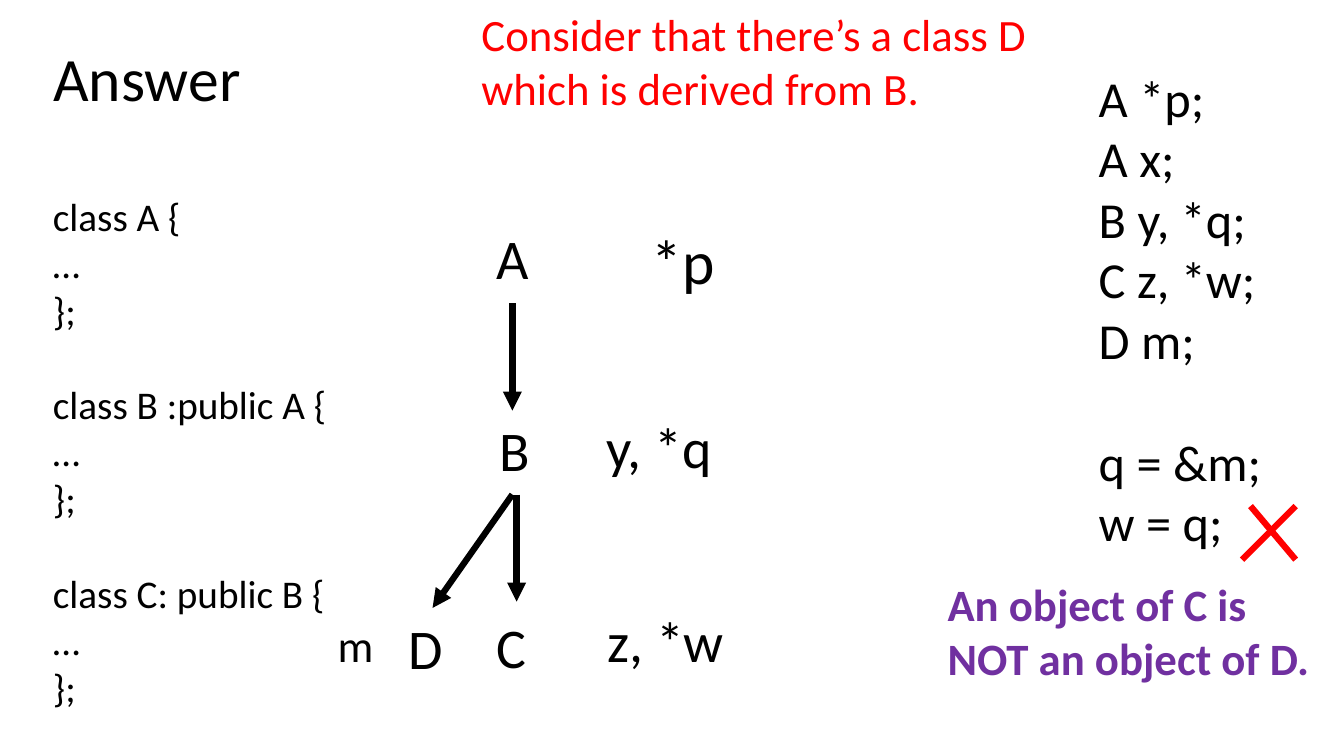
from dataclasses import dataclass

from lxml.etree import SubElement
from pptx import Presentation
from pptx.dml.color import RGBColor
from pptx.enum.shapes import MSO_CONNECTOR
from pptx.enum.text import MSO_ANCHOR, MSO_AUTO_SIZE, PP_ALIGN
from pptx.oxml.ns import qn
from pptx.slide import Slide
from pptx.text.text import Font
from pptx.util import Emu, Pt

EMU_PER_PX = 9525
LINE_HEIGHT = 1.22
FONT_NAME = "Calibri"
BLACK = RGBColor(0x00, 0x00, 0x00)
RED = RGBColor(0xFF, 0x00, 0x00)
PURPLE = RGBColor(0x70, 0x30, 0xA0)


@dataclass(frozen=True)
class Label:
    blocks: tuple[tuple[str, ...], ...]
    left: int
    top: int
    width: int
    height: int
    size: int = 40
    color: RGBColor = BLACK
    bold: bool = False
    wrap: bool = False


@dataclass(frozen=True)
class Line:
    start: tuple[int, int]
    end: tuple[int, int]
    color: RGBColor = BLACK
    arrow: bool = True


CLASS_CODE = tuple(
    (header, "…", "};")
    for header in ("class A {", "class B :public A {", "class C: public B {")
)
VARIABLE_CODE = (
    ("A *p;", "A x;", "B y, *q;", "C z, *w;", "D m;"),
    ("q = &m;", "w = q;"),
)

LABELS = (
    Label(CLASS_CODE, 41, 178, 283, 507, size=28),
    Label(VARIABLE_CODE, 1037, 59, 176, 475, size=36),
    Label((("A",),), 463, 208, 51, 74),
    Label((("B",),), 466, 391, 51, 74),
    Label((("C",),), 463, 579, 48, 74),
    Label((("D",),), 380, 580, 53, 74),
    Label((("*p",),), 611, 208, 80, 81, size=44),
    Label((("y, *q",),), 568, 388, 121, 74),
    Label((("z, *w",),), 569, 573, 132, 74),
    Label((("m",),), 312, 584, 54, 61, size=32),
    Label((("An object of C is NOT an object of D.",),), 893, 545, 387, 113,
          size=32, color=PURPLE, bold=True, wrap=True),
    Label((("Consider that there’s a class D\vwhich is derived from B.",),),
          449, 2, 640, 113, size=32, color=RED, wrap=True),
)

LINES = (
    Line((488, 289), (488, 391)),
    Line((492, 471), (492, 573)),
    Line((488, 471), (412, 579)),
    Line((1183, 533), (1234, 482), RED, arrow=False),
    Line((1191, 482), (1234, 533), RED, arrow=False),
)


def px(length: int) -> Emu:
    return Emu(length * EMU_PER_PX)


def format_font(font: Font, size: int, color: RGBColor, bold: bool = False) -> None:
    font.name = FONT_NAME
    font.size = Pt(size)
    font.bold = bold
    font.color.rgb = color


def set_title(slide: Slide, text: str) -> None:
    title = slide.shapes.title
    title.left, title.top = px(41), px(8)
    title.width, title.height = px(1104), px(139)
    title.text_frame.text = text
    title.text_frame.vertical_anchor = MSO_ANCHOR.MIDDLE
    paragraph = title.text_frame.paragraphs[0]
    paragraph.alignment = PP_ALIGN.LEFT
    paragraph.line_spacing = 0.9
    format_font(paragraph.font, 44, BLACK)


def add_label(slide: Slide, label: Label) -> None:
    shape = slide.shapes.add_textbox(
        px(label.left), px(label.top), px(label.width), px(label.height)
    )
    frame = shape.text_frame
    frame.word_wrap = label.wrap
    frame.auto_size = MSO_AUTO_SIZE.SHAPE_TO_FIT_TEXT
    for block_index, block in enumerate(label.blocks):
        for line_index, text in enumerate(block):
            is_first = block_index == line_index == 0
            paragraph = frame.paragraphs[0] if is_first else frame.add_paragraph()
            paragraph.text = text
            if block_index > 0 and line_index == 0:
                paragraph.space_before = Pt(round(label.size * LINE_HEIGHT))
            format_font(paragraph.font, label.size, label.color, label.bold)


def add_line(slide: Slide, line: Line) -> None:
    connector = slide.shapes.add_connector(
        MSO_CONNECTOR.STRAIGHT, *map(px, line.start + line.end)
    )
    connector.line.color.rgb = line.color
    connector.line.width = Pt(4.5)
    if line.arrow:
        SubElement(connector.line._get_or_add_ln(), qn("a:tailEnd"), type="triangle")
    SubElement(connector._element.spPr, qn("a:effectLst"))


def main() -> None:
    presentation = Presentation()
    presentation.slide_width = px(1280)
    presentation.slide_height = px(720)
    slide = presentation.slides.add_slide(
        presentation.slide_layouts.get_by_name("Title Only")
    )
    set_title(slide, "Answer")
    for label in LABELS:
        add_label(slide, label)
    for line in LINES:
        add_line(slide, line)
    presentation.save("out.pptx")


if __name__ == "__main__":
    main()
